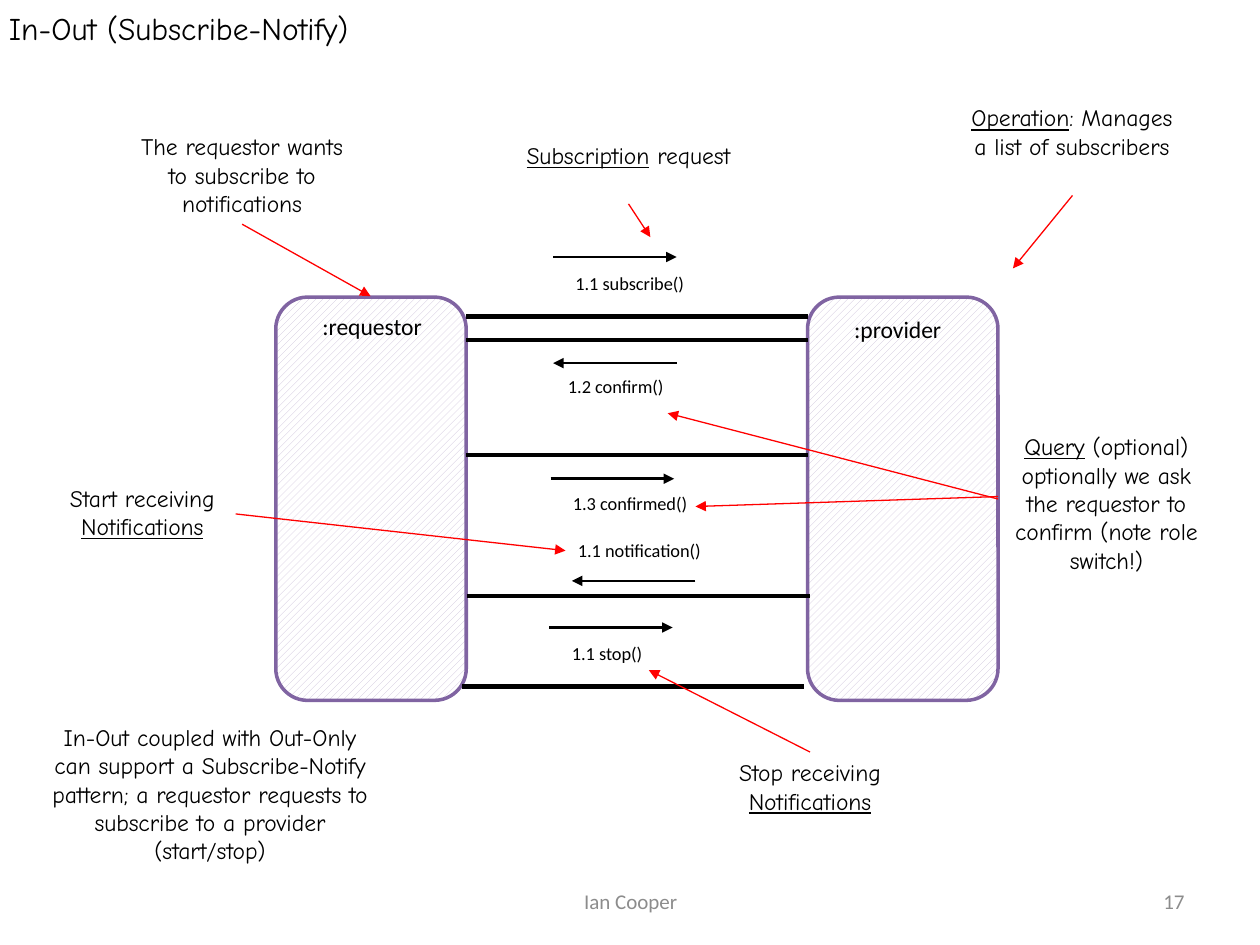
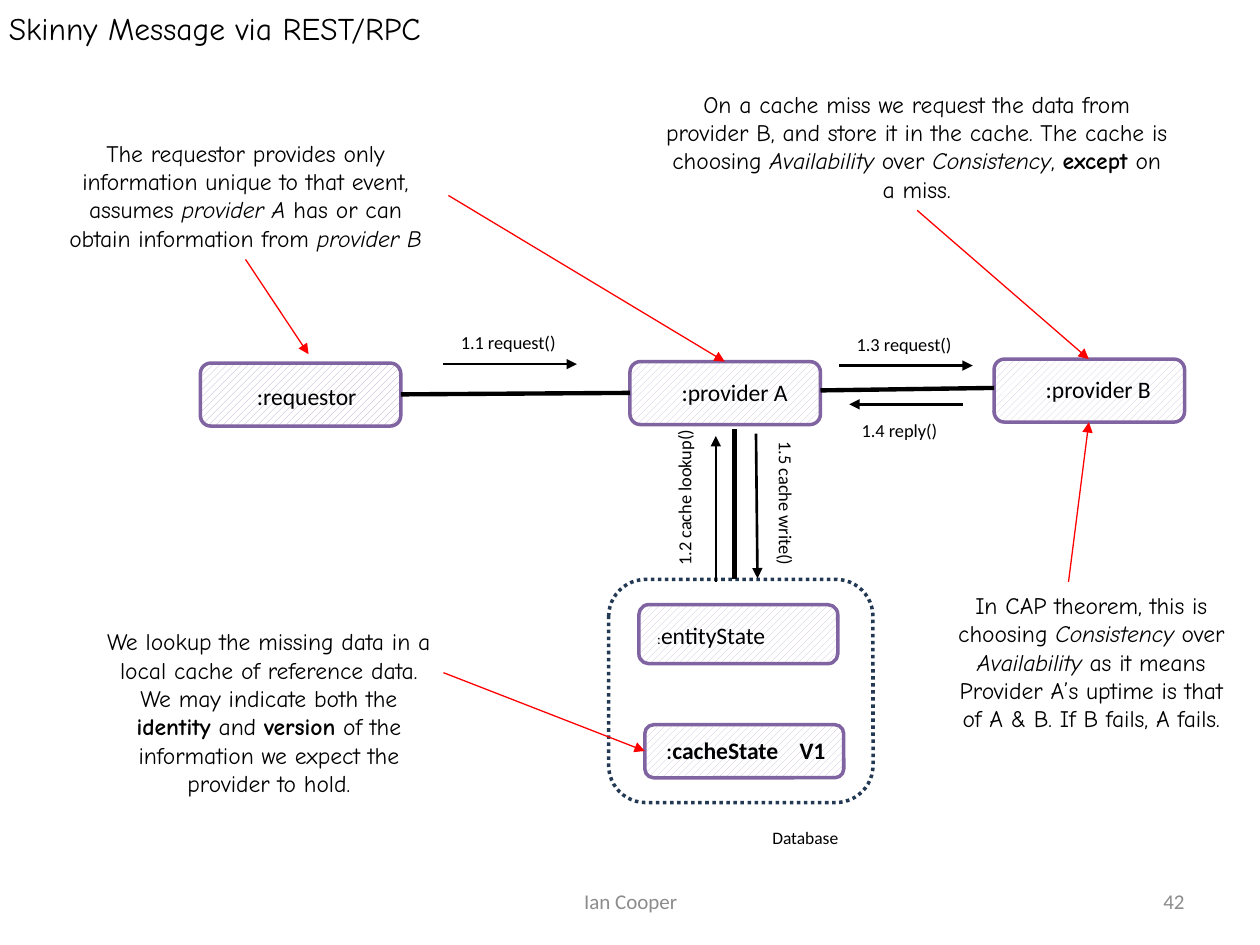
from pptx import Presentation
from pptx.dml.color import RGBColor
from pptx.enum.dml import MSO_LINE, MSO_PATTERN
from pptx.enum.shapes import MSO_CONNECTOR, MSO_SHAPE
from pptx.enum.text import MSO_ANCHOR, MSO_AUTO_SIZE, PP_ALIGN
from pptx.oxml.ns import qn
from pptx.util import Cm, Pt
from lxml.etree import SubElement

COLORS = {
    "ink": "000000",
    "paper": "FFFFFF",
    "grey": "8C8C8C",
    "red": "FF0000",
    "edge": "8064A2",
    "hatch": "CCC1DA",
    "deep": "B3A2C7",
    "navy": "233953",
}
BODY, HAND = "Calibri", "Comic Neue"
AUTHOR = "Ian Cooper"


def rgb(name):
    return RGBColor.from_string(COLORS[name])


# --- Text ---

def fill_para(para, text, size):
    """Pieces between bars start with u, b, i or s: underline, bold, italic, small."""
    for n, piece in enumerate(text.split("|")):
        if not piece:
            continue
        run = para.add_run()
        if n % 2 == 0:
            run.text = piece
            continue
        style, run.text = piece[0], piece[1:]
        if style == "u":
            run.font.underline = True
        elif style == "b":
            run.font.bold = True
        elif style == "i":
            run.font.italic = True
        else:
            run.font.size = Pt(8)


def add_text(slide, box, text, size, font=BODY, color="ink",
             align=PP_ALIGN.LEFT, tab=None):
    shape = slide.shapes.add_textbox(*map(Cm, box))
    frame = shape.text_frame
    frame.word_wrap = True
    frame.auto_size = MSO_AUTO_SIZE.SHAPE_TO_FIT_TEXT
    for n, line in enumerate(text.split("\n")):
        para = frame.add_paragraph() if n else frame.paragraphs[0]
        para.alignment = align
        if tab:
            stops = SubElement(para._p.get_or_add_pPr(), qn("a:tabLst"))
            SubElement(stops, qn("a:tab"), pos=str(Cm(tab)), algn="l")
        para.font.size = Pt(size)
        para.font.name = font
        para.font.color.rgb = rgb(color)
        fill_para(para, line, size)
    return shape


def add_name(slide, x, y, width, text, tab=None):
    add_text(slide, (x, y, width, 0.84), text, 13.5, tab=tab)


def add_label(slide, x, y, width, text, turn=0, size=10.5):
    add_text(slide, (x, y, width, 0.7), text, size).rotation = turn


def add_note(slide, box, text):
    add_text(slide, box, text, 13.5, HAND, align=PP_ALIGN.CENTER)


# --- Shapes and lines ---

def add_box(slide, box, edge="edge", hatch="hatch"):
    shape = slide.shapes.add_shape(MSO_SHAPE.ROUNDED_RECTANGLE, *map(Cm, box))
    shape.shadow.inherit = False
    shape.line.color.rgb = rgb(edge)
    shape.line.width = Pt(2)
    if hatch:
        shape.fill.patterned()
        shape.fill.pattern = MSO_PATTERN.WIDE_UPWARD_DIAGONAL
        shape.fill.fore_color.rgb = rgb(hatch)
        shape.fill.back_color.rgb = rgb("paper")
    else:
        shape.fill.background()
    return shape


def add_line(slide, ends, width, color="ink", arrow=True):
    line = slide.shapes.add_connector(MSO_CONNECTOR.STRAIGHT, *map(Cm, ends))
    line.line.color.rgb = rgb(color)
    line.line.width = Pt(width)
    if arrow:
        SubElement(line.line._get_or_add_ln(), qn("a:tailEnd"), type="triangle")
    SubElement(line._element.spPr, qn("a:effectLst"))


def add_link(slide, *ends):
    add_line(slide, ends, 2.5, arrow=False)


def add_call(slide, *ends):
    add_line(slide, ends, 1.5)


def add_hint(slide, *ends):
    add_line(slide, ends, 0.75, "red")


# --- Slides ---

def new_slide(deck, title, number):
    slide = deck.slides.add_slide(deck.slide_layouts[6])
    frame = add_text(slide, (0, 0, 25.4, 1.14), title, 18, HAND).text_frame
    frame.margin_left = frame.margin_right = Cm(0.18)
    frame.margin_top = frame.margin_bottom = Cm(0.18)
    for x, width, text, align in (
        (8.69, 8.05, AUTHOR, PP_ALIGN.CENTER),
        (18.21, 5.92, number, PP_ALIGN.RIGHT),
    ):
        foot = add_text(slide, (x, 17.65, width, 1.02), text, 12,
                        color="grey", align=align).text_frame
        foot.auto_size = MSO_AUTO_SIZE.NONE
        foot.vertical_anchor = MSO_ANCHOR.MIDDLE
    return slide


def draw_notify(deck):
    slide = new_slide(deck, "In-Out (Subscribe-Notify)", "17")

    # Both parties and the links between them
    for x in (5.56, 16.28):
        add_box(slide, (x, 5.99, 3.84, 8.13))
    add_name(slide, 6.25, 6.17, 2.74, ":requestor")
    add_name(slide, 16.97, 6.22, 2.44, ":provider")
    for left, right, y in (
        (9.4, 16.28, 6.38),
        (9.4, 16.28, 6.86),
        (9.4, 16.28, 9.17),
        (9.42, 16.33, 12.01),
        (9.32, 16.21, 13.84),
    ):
        add_link(slide, left, y, right, y)

    # Messages: arrow start, end and height, then label place and text
    for start, end, y, x, top, text in (
        (11.15, 13.64, 5.18, 11.35, 5.36, "1.1 subscribe()"),
        (13.64, 11.15, 7.32, 11.2, 7.44, "1.2 confirm()"),
        (11.1, 13.59, 9.65, 11.3, 9.8, "1.3 confirmed()"),
        (14.02, 11.53, 11.71, 11.4, 10.74, "1.1 notification()"),
        (11.07, 13.56, 12.65, 11.28, 12.83, "1.1 stop()"),
    ):
        add_call(slide, start, y, end, y)
        add_label(slide, x, top, 3.66, text)

    # Notes
    for box, text in (
        ((0.74, 14.45, 6.99, 3.71),
         "In-Out coupled with Out-Only can support a Subscribe-Notify pattern; "
         "a requestor requests to subscribe to a provider (start/stop)"),
        ((2.57, 2.54, 4.62, 1.98),
         "The requestor wants to subscribe to notifications"),
        ((10.36, 2.72, 4.62, 1.42), "|uSubscription| request"),
        ((19.3, 1.96, 4.62, 1.98),
         "|uOperation|: Manages a list of subscribers"),
        ((20.12, 8.59, 4.37, 3.15),
         "|uQuery| (optional) optionally we ask the requestor to confirm "
         "(note role switch!)"),
        ((0.56, 9.63, 4.62, 1.42), "Start receiving|u Notifications|"),
        ((14.02, 15.16, 4.62, 1.42), "Stop receiving|u Notifications|"),
    ):
        add_note(slide, box, text)
    for ends in (
        (4.88, 4.52, 7.47, 5.97),
        (12.67, 4.11, 13.11, 4.78),
        (21.62, 3.94, 20.42, 5.41),
        (20.12, 10.06, 13.46, 8.33),
        (20.12, 10.01, 14.02, 10.21),
        (4.75, 10.36, 11.4, 11.1),
        (16.33, 15.16, 13.08, 13.51),
    ):
        add_hint(slide, *ends)


def draw_skinny(deck):
    slide = new_slide(deck, "Skinny Message via REST/RPC", "42")

    # Services
    add_box(slide, (4.04, 7.32, 4.04, 1.27), hatch="deep")
    add_box(slide, (12.7, 7.29, 3.84, 1.27))
    add_box(slide, (20.04, 7.24, 3.84, 1.27))
    add_name(slide, 4.93, 7.57, 2.77, ":requestor")
    add_name(slide, 13.49, 7.49, 2.77, ":provider A")
    add_name(slide, 20.83, 7.44, 2.67, ":provider B")

    # Database
    add_box(slide, (13, 14.61, 4.01, 1.07))
    add_box(slide, (12.88, 12.19, 4.01, 1.19))
    add_name(slide, 13, 12.4, 3.25, "|s:|entityState")
    add_name(slide, 13.18, 14.71, 3.76, ":|bcacheState\tV1|", tab=2.69)
    store = add_box(slide, (12.27, 11.68, 5.33, 4.5), "navy", None)
    store.line.dash_style = MSO_LINE.ROUND_DOT
    add_label(slide, 15.32, 16.54, 1.91, "Database", size=10)

    # Links and messages
    add_link(slide, 8.08, 7.95, 12.7, 7.92)
    add_link(slide, 16.54, 7.87, 20.04, 7.82)
    add_link(slide, 14.81, 11.68, 14.81, 8.64)
    for ends in (
        (8.94, 7.34, 11.63, 7.34),
        (16.92, 7.37, 19.61, 7.37),
        (19.41, 8.15, 17.12, 8.15),
        (14.43, 11.73, 14.43, 8.79),
        (15.24, 8.74, 15.27, 11.66),
    ):
        add_call(slide, *ends)
    add_label(slide, 9.04, 6.55, 2.49, "1.1 request()")
    add_label(slide, 17.02, 6.6, 2.49, "1.3 request()")
    add_label(slide, 17.12, 8.33, 2.49, "1.4 reply()")
    add_label(slide, 12.12, 9.63, 3.35, "1.2 cache lookup()", 270)
    add_label(slide, 14.17, 9.98, 3.35, "1.5 cache write()", 90)

    # Notes
    for box, text in (
        ((0.86, 2.67, 8.18, 2.57),
         "The requestor provides only information unique to that event, "
         "assumes |iprovider A| has or can obtain information from "
         "|iprovider B|"),
        ((1.8, 12.52, 7.24, 4.29),
         "We lookup the missing data in a local cache of reference data.\n"
         "We may indicate both the |bidentity| and |bversion| of the "
         "information we expect the provider to hold."),
        ((13.11, 1.68, 10.74, 2.57),
         "On a cache miss we request the data from provider B, and store it "
         "in the cache. The cache is choosing |iAvailability| over "
         "|iConsistency|, |bexcept| on a miss."),
        ((18.9, 11.79, 6.2, 3.71),
         "In CAP theorem, this is choosing |iConsistency| over "
         "|iAvailability| as it means Provider A’s uptime is that of A & B. "
         "If B fails, A fails."),
    ):
        add_note(slide, box, text)
    for ends in (
        (4.95, 5.23, 6.22, 7.14),
        (9.04, 3.94, 14.61, 7.29),
        (8.94, 13.56, 13, 15.14),
        (18.49, 4.24, 21.95, 7.24),
        (21.54, 11.73, 21.95, 8.51),
    ):
        add_hint(slide, *ends)


def main():
    deck = Presentation()
    deck.slide_width, deck.slide_height = Cm(25.4), Cm(19.05)
    draw_notify(deck)
    draw_skinny(deck)
    deck.save("out.pptx")


if __name__ == "__main__":
    main()
